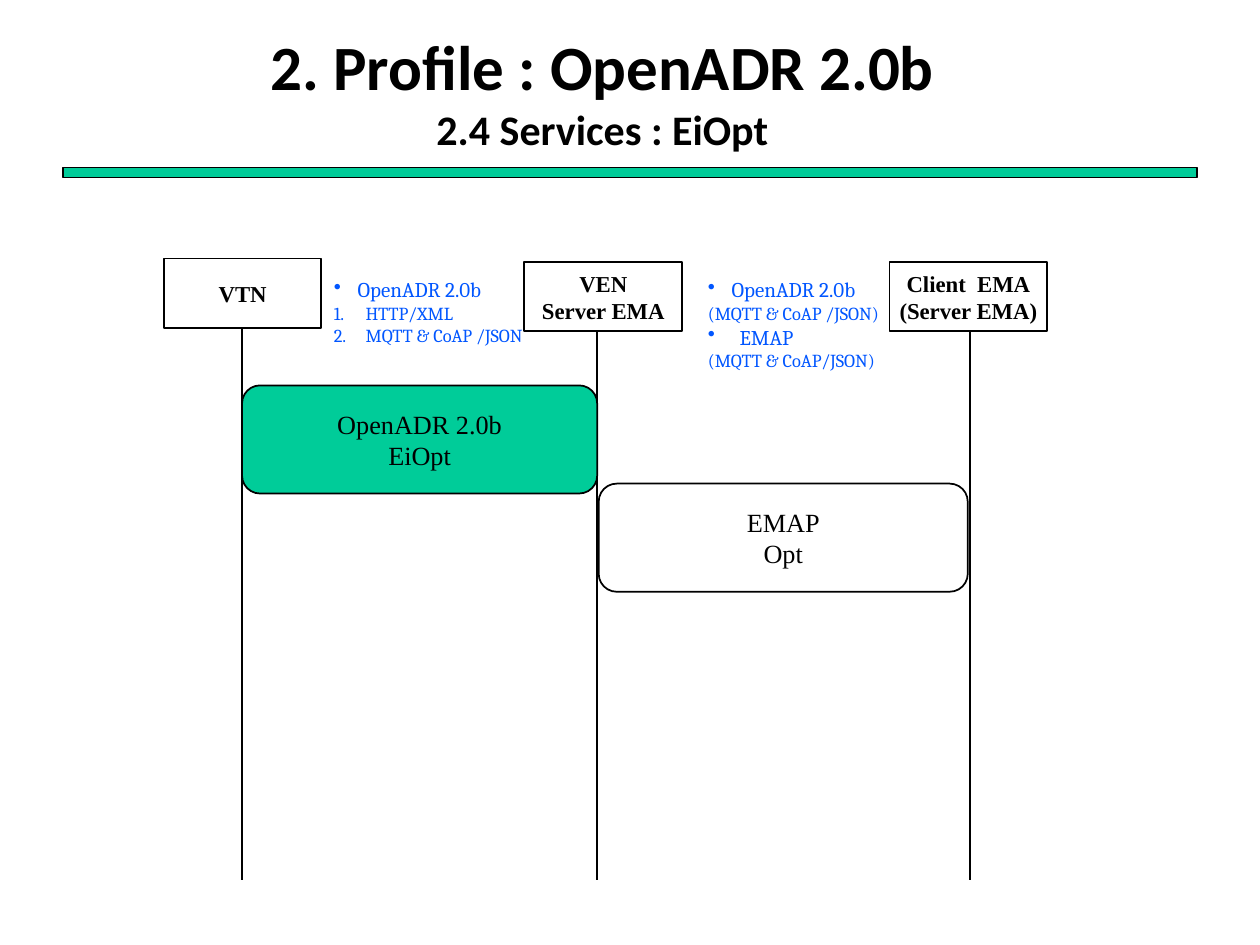
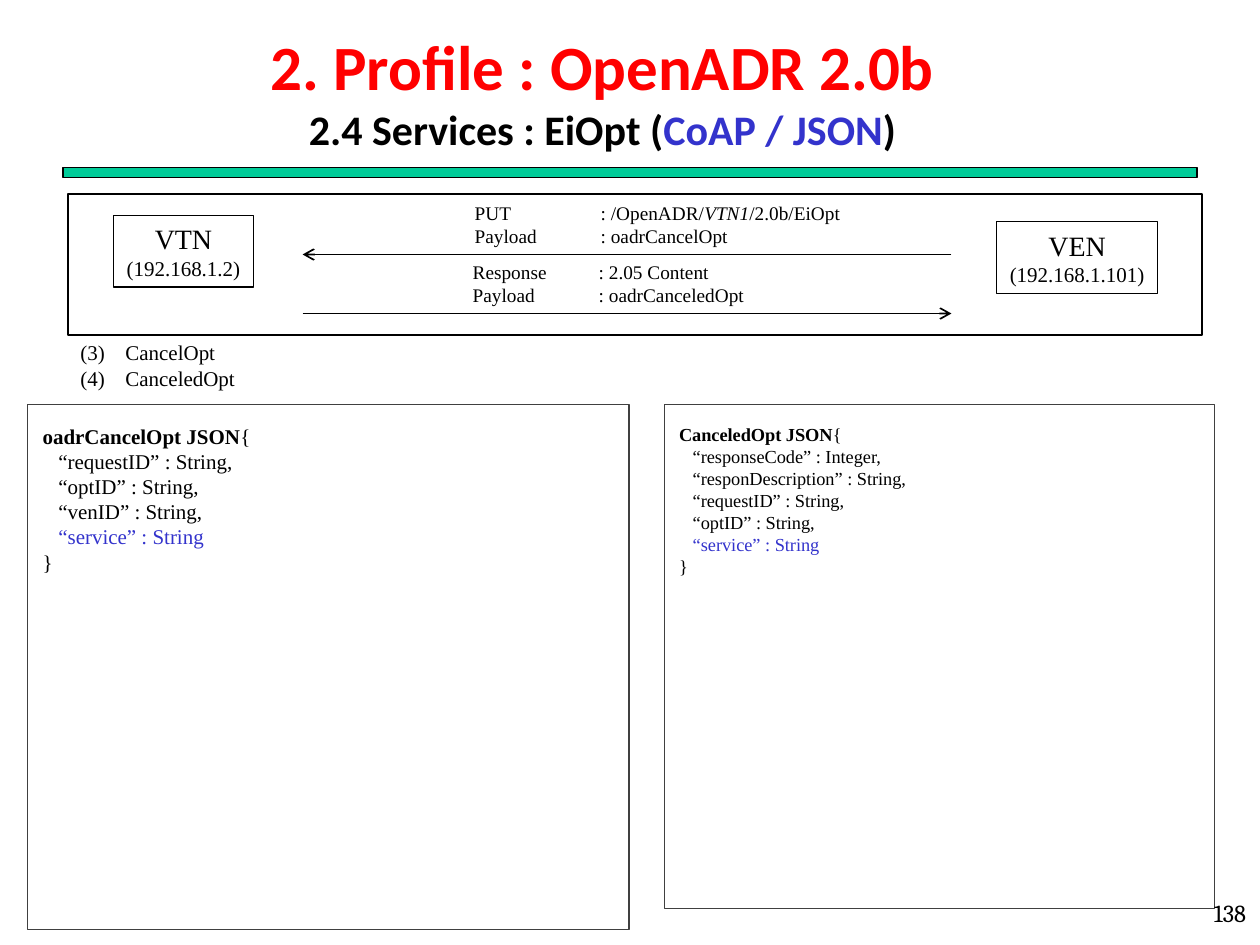
from dataclasses import dataclass

from lxml.etree import SubElement
from pptx import Presentation
from pptx.dml.color import RGBColor
from pptx.enum.shapes import MSO_CONNECTOR, MSO_SHAPE, MSO_SHAPE_TYPE
from pptx.enum.text import MSO_ANCHOR, MSO_AUTO_SIZE, PP_ALIGN
from pptx.oxml.ns import qn
from pptx.util import Cm, Pt


@dataclass(frozen=True)
class Theme:
    ink: RGBColor = RGBColor(0, 0, 0)
    paper: RGBColor = RGBColor(255, 255, 255)
    green: RGBColor = RGBColor(0x00, 0xCC, 0x99)
    red: RGBColor = RGBColor(255, 0, 0)
    blue: RGBColor = RGBColor(0x33, 0x33, 0xCC)
    sky: RGBColor = RGBColor(0x01, 0x56, 0xFF)
    gray: RGBColor = RGBColor(0x40, 0x40, 0x40)
    head: str = "Calibri"
    note: str = "Cambria"
    body: str = "Times New Roman"
    title: float = 36
    sub: float = 24
    host: float = 16
    step: float = 15
    page: float = 14
    role: float = 13
    text: float = 12
    call: float = 11
    small: float = 10.5


look = Theme()


def write(frame, rows, face, size, color=look.ink, bold=False, align=PP_ALIGN.LEFT):
    """Each row is a text, or a dict with text or runs and its own style."""
    for count, row in enumerate(rows):
        row = row if isinstance(row, dict) else {"text": row}
        para = frame.add_paragraph() if count else frame.paragraphs[0]
        para.alignment = align
        props = para._p.get_or_add_pPr()
        if "mark" in row:
            tag, attrs, indent = row["mark"]
            props.set("marL", str(Cm(indent)))
            props.set("indent", str(-Cm(indent)))
            SubElement(props, qn(tag), attrs)
        if "tab" in row:
            tabs = SubElement(props, qn("a:tabLst"))
            SubElement(tabs, qn("a:tab"), pos=str(Cm(row["tab"])), algn="l")
        para.font.name = face
        para.font.size = Pt(row.get("size", size))
        para.font.bold = bold
        para.font.color.rgb = row.get("color", color)
        for text, style in row.get("runs") or [(row["text"], {})]:
            run = para.add_run()
            run.text = text
            if "color" in style:
                run.font.color.rgb = style["color"]
            if "bold" in style:
                run.font.bold = style["bold"]
            if "italic" in style:
                run.font.italic = style["italic"]


def box(slide, at, kind=None, fill=None, line=look.ink, width=1):
    """Add a preset shape, or a text box if no kind is given; at is in cm."""
    spot = [Cm(value) for value in at]
    if kind is None:
        shape = slide.shapes.add_textbox(*spot)
    else:
        shape = slide.shapes.add_shape(kind, *spot)
        shape.shadow.inherit = False
        shape.line.color.rgb = line
        shape.line.width = Pt(width)
        if fill is None:
            shape.fill.background()
        else:
            shape.fill.solid()
            shape.fill.fore_color.rgb = fill
    frame = shape.text_frame
    frame.word_wrap = kind is None
    frame.auto_size = MSO_AUTO_SIZE.NONE
    frame.vertical_anchor = MSO_ANCHOR.TOP if kind is None else MSO_ANCHOR.MIDDLE
    return shape


deck = Presentation()
deck.slide_width, deck.slide_height = Cm(25.4), Cm(19.05)
layout = deck.slide_layouts[5]
rect, center = MSO_SHAPE.RECTANGLE, PP_ALIGN.CENTER

# Slides with their titles
heads = [
    (look.ink, [("2.4 Services : EiOpt", {})]),
    (look.red, [("2.4 Services : EiOpt (", {}),
                ("CoAP / JSON", {"color": look.blue}), (")", {})]),
]
for color, runs in heads:
    slide = deck.slides.add_slide(layout)
    title = slide.shapes.title
    title.left, title.top = Cm(0.08), Cm(0.66)
    title.width, title.height = Cm(24.13), Cm(2.34)
    frame = title.text_frame
    frame.auto_size = MSO_AUTO_SIZE.NONE
    frame.vertical_anchor = MSO_ANCHOR.MIDDLE
    rows = [{"text": "2. Profile : OpenADR 2.0b", "color": color},
            {"runs": runs, "size": look.sub}]
    write(frame, rows, look.head, look.title, bold=True, align=center)
flow, calls = deck.slides

# Band below the title, shared through the layout
band = box(flow, (1.27, 3.38, 22.86, 0.2), rect, look.green, width=0.75)
layout.shapes.element.append(band.element)

# Slide 1: roles and their lifelines
roles = [
    (4.88, 3.3, 5.21, ["VTN"]),
    (12.04, 10.57, 5.28, ["VEN", "Server EMA"]),
    (19.55, 17.93, 5.28, ["Client  EMA", "(Server EMA)"]),
]
for mid, left, top, rows in roles:
    flow.shapes.add_connector(MSO_CONNECTOR.STRAIGHT, Cm(mid), Cm(top + 1.4),
                              Cm(mid), Cm(17.73))
    role = box(flow, (left, top, 3.18, 1.4), rect, look.paper)
    write(role.text_frame, rows, look.body, look.role, bold=True, align=center)

# Slide 1: protocols between the roles
dot = ("a:buChar", {"char": "•"}, 0.48)
wide = ("a:buChar", {"char": "•"}, 0.64)
num = ("a:buAutoNum", {"type": "arabicPeriod"}, 0.64)
notes = [
    ((6.48, 5.46, 4.95, 1.7), [
        {"text": "OpenADR 2.0b", "mark": dot, "size": look.text},
        {"text": "HTTP/XML", "mark": num},
        {"text": "MQTT & CoAP /JSON", "mark": num},
    ]),
    ((14.02, 5.46, 4.2, 2.69), [
        {"text": "OpenADR 2.0b", "mark": dot, "size": look.text},
        "(MQTT & CoAP /JSON)",
        {"text": "EMAP", "mark": wide, "size": look.text},
        "(MQTT & CoAP/JSON)",
    ]),
]
for at, rows in notes:
    write(box(flow, at).text_frame, rows, look.note, look.small, look.sky)

# Slide 1: exchanges
steps = [
    ((4.88, 7.77, 7.16, 2.18), look.green, ["OpenADR 2.0b", "EiOpt"]),
    ((12.07, 9.75, 7.44, 2.18), None, ["EMAP", "Opt"]),
]
for at, fill, rows in steps:
    step = box(flow, at, MSO_SHAPE.ROUNDED_RECTANGLE, fill)
    write(step.text_frame, rows, look.body, look.step, align=center)

# Slide 2: hosts in their frame
box(calls, (1.37, 3.91, 22.86, 2.84), rect, look.paper)
hosts = [
    ((2.29, 4.34, 2.82, 1.45), "VTN", "(192.168.1.2)"),
    ((20.09, 4.47, 3.25, 1.45), "VEN", "(192.168.1.101)"),
]
for at, name, address in hosts:
    host = box(calls, at, rect, look.paper, width=0.75)
    rows = [name, {"text": address, "size": look.text}]
    write(host.text_frame, rows, look.body, look.host, align=center)

# Slide 2: request and response, each above its arrow
west, east = 6.1, 19.18
trips = [
    (east, west, 5.13, (9.32, 3.94, 7.92, 1.19), [
        [("PUT\t: /OpenADR/", {}), ("VTN1", {"italic": True}), ("/2.0b/EiOpt", {})],
        [("Payload\t: oadrCancelOpt", {})],
    ]),
    (west, east, 6.32, (9.28, 5.13, 6.02, 1.19), [
        [("Response\t: 2.05 Content", {})],
        [("Payload\t: oadrCanceledOpt", {})],
    ]),
]
for start, end, level, at, lines in trips:
    arrow = calls.shapes.add_connector(MSO_CONNECTOR.STRAIGHT, Cm(start), Cm(level),
                                       Cm(end), Cm(level))
    SubElement(arrow.line._get_or_add_ln(), qn("a:tailEnd"), type="arrow")
    rows = [{"runs": runs, "tab": 2.54} for runs in lines]
    write(box(calls, at).text_frame, rows, look.body, look.call)

# Slide 2: numbered messages
order = ("a:buAutoNum", {"type": "arabicParenBoth", "startAt": "3"}, 0.91)
rows = [{"text": text, "mark": order} for text in ("CancelOpt", "CanceledOpt")]
write(box(calls, (1.37, 6.73, 17.55, 1.27)).text_frame, rows, look.body, look.text)

# Slide 2: message bodies
panels = [
    ((0.56, 8.15, 12.12, 10.59), look.text, "oadrCancelOpt JSON", [
        "   “requestID” : String,",
        "   “optID” : String,",
        "   “venID” : String,",
    ]),
    ((13.39, 8.15, 11.1, 10.16), look.small, "CanceledOpt JSON", [
        "   “responseCode” : Integer,",
        "   “responDescription” : String,",
        "   “requestID” : String,",
        "   “optID” : String,",
    ]),
]
for at, size, name, fields in panels:
    frame = box(calls, at, rect, line=look.gray, width=0.75).text_frame
    frame.word_wrap = True
    frame.vertical_anchor = MSO_ANCHOR.TOP
    frame.margin_left = frame.margin_right = Cm(0.3)
    frame.margin_top = Cm(0.38)
    rows = [{"runs": [(name, {"bold": True}), ("{", {})]}, *fields,
            {"text": "   “service” : String", "color": look.blue}, "}"]
    write(frame, rows, look.body, size)

# Slide 2: page number
page = box(calls, (20.09, 17.98, 5.28, 1.07))
write(page.text_frame, ["138"], look.note, look.page, align=PP_ALIGN.RIGHT)

# Plain black lines on both slides
for slide in deck.slides:
    for shape in slide.shapes:
        if shape.shape_type == MSO_SHAPE_TYPE.LINE:
            shape.line.color.rgb = look.ink
            shape.line.width = Pt(1)
            SubElement(shape.element.spPr, qn("a:effectLst"))

deck.save("out.pptx")
